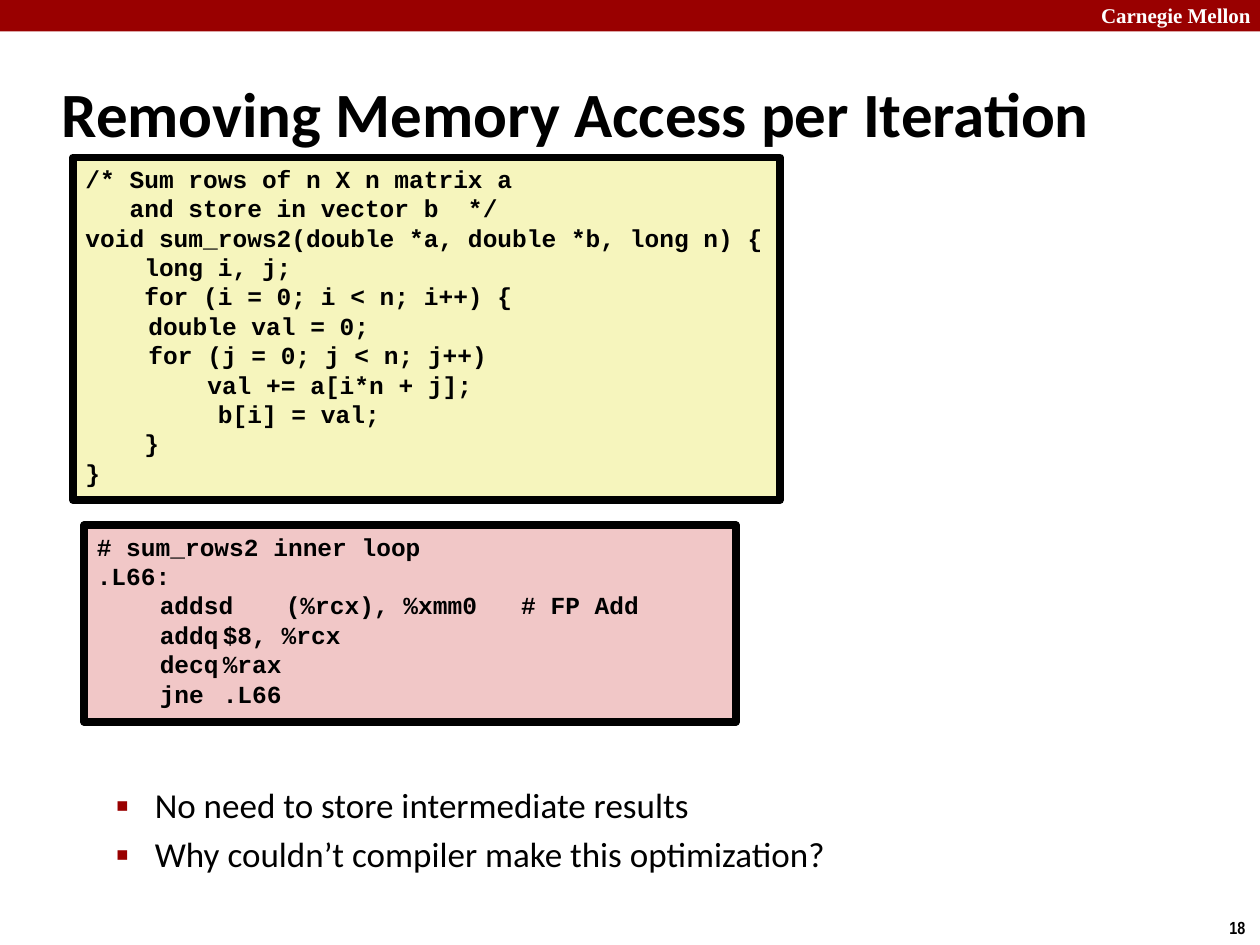
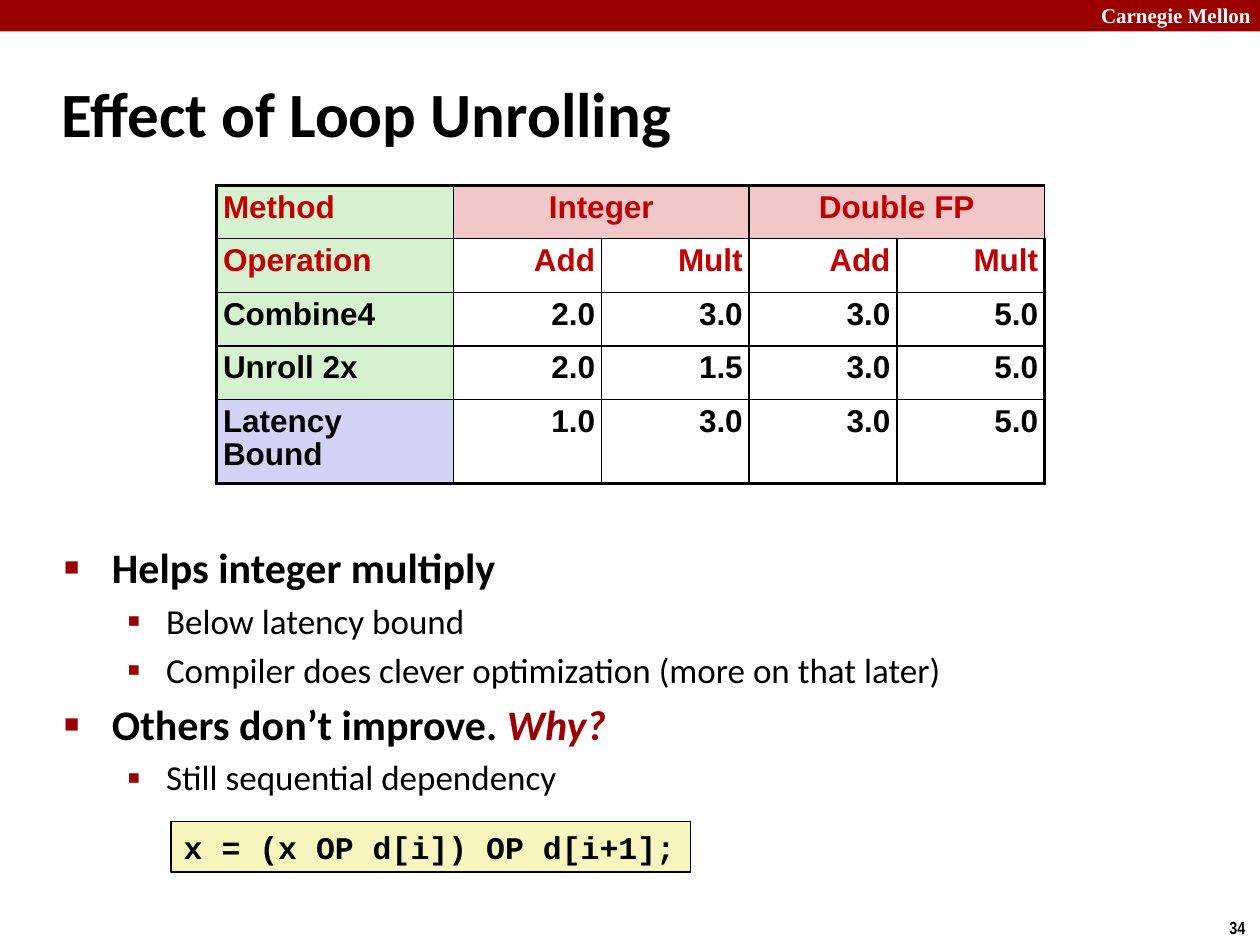
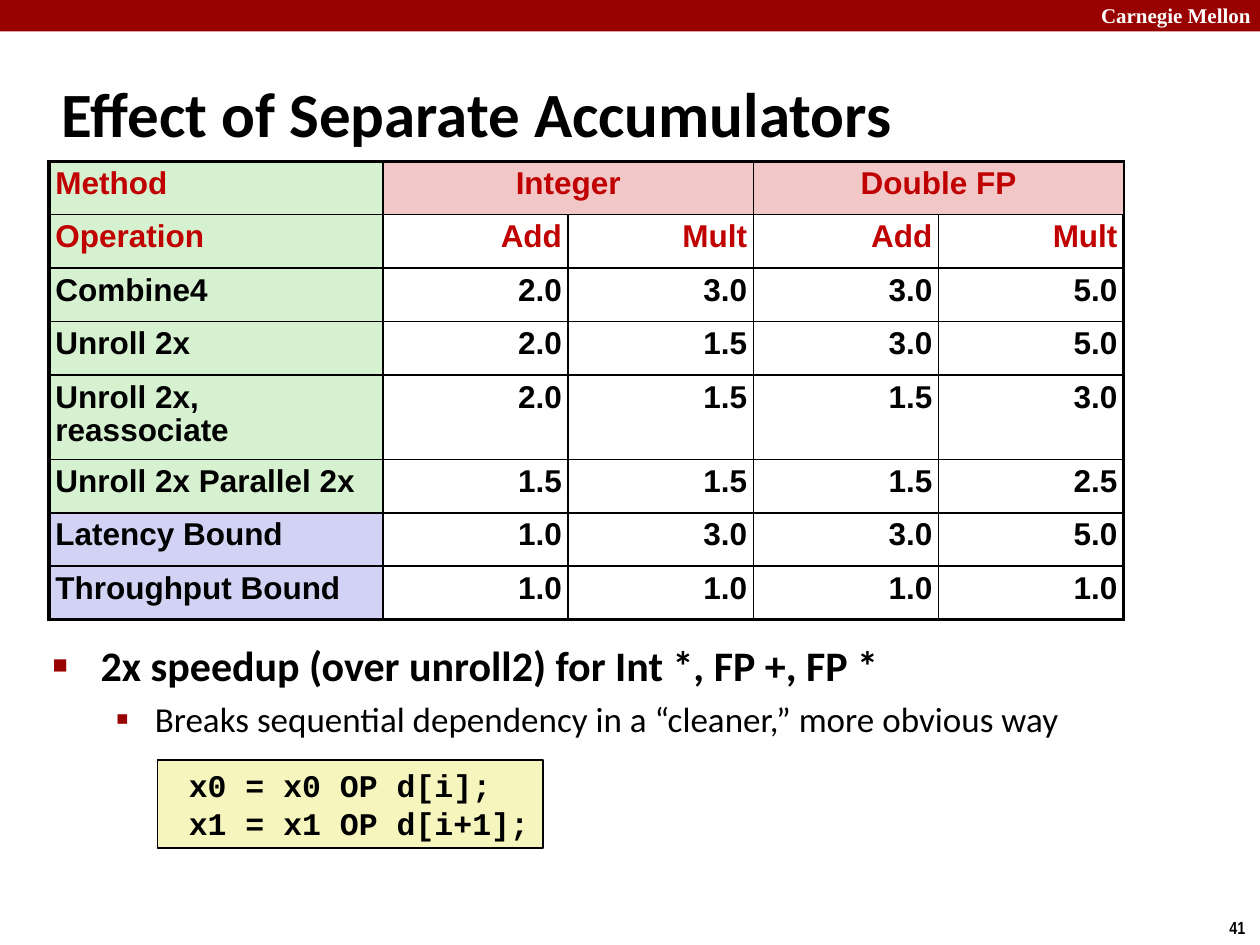
from lxml.etree import SubElement
from pptx import Presentation
from pptx.dml.color import RGBColor
from pptx.enum.shapes import MSO_SHAPE
from pptx.enum.text import MSO_ANCHOR, PP_ALIGN
from pptx.oxml.ns import qn
from pptx.util import Inches, Pt

COLORS = {
    "crimson": "990000", "white": "FFFFFF", "black": "000000", "heading": "C00000",
    "yellow": "F6F5BD", "pink": "F1C7C7", "green": "D5F1CF", "lavender": "D2D2F4",
}
COLORS = {name: RGBColor.from_string(value) for name, value in COLORS.items()}

deck = Presentation()
deck.slide_width, deck.slide_height = Inches(10), Inches(7.5)

# Grid of 100 columns and 75 rows
COLUMN = deck.slide_width / 100
ROW = deck.slide_height / 75

# Bullet levels: character, its size, left indent and hanging in columns, text size, bold
LEVELS = [("■", 60, 3.8, 3.8, 24, True), ("▪", 110, 8.1, 3.1, 20, False)]
TALL_ROW = 6.7


def add_box(page, area, fill=None, line_width=0):
    left, top, width, height = area
    box = page.shapes.add_shape(MSO_SHAPE.RECTANGLE, int(left * COLUMN), int(top * ROW),
                                int(width * COLUMN), int(height * ROW))
    box.shadow.inherit = False
    if fill:
        box.fill.solid()
        box.fill.fore_color.rgb = COLORS[fill]
    else:
        box.fill.background()
    if line_width:
        box.line.color.rgb = COLORS["black"]
        box.line.width = Pt(line_width)
    else:
        box.line.fill.background()
    box.text_frame.vertical_anchor = MSO_ANCHOR.TOP
    box.text_frame.word_wrap = True
    return box


def add_span(para, text, font, size, color="black", bold=True, italic=False):
    span = para.add_run()
    span.text = text
    span.font.name, span.font.size = font, Pt(size)
    span.font.bold, span.font.italic = bold, italic
    span.font.color.rgb = COLORS[color]


# Content of the pages
SUM_ROWS = """/* Sum rows of n X n matrix a
   and store in vector b  */
void sum_rows2(double *a, double *b, long n) {
    long i, j;
    for (i = 0; i < n; i++) {
\tdouble val = 0;
\tfor (j = 0; j < n; j++)
\t    val += a[i*n + j];
         b[i] = val;
    }
}"""
INNER_LOOP = """# sum_rows2 inner loop
.L66:
\taddsd\t(%rcx), %xmm0   # FP Add
\taddq\t$8, %rcx
\tdecq\t%rax
\tjne\t.L66"""

HEADER = [["Method", "Integer", "", "Double FP", ""],
          ["Operation", "Add", "Mult", "Add", "Mult"]]
COMBINE = ["Combine4", "2.0", "3.0", "3.0", "5.0"]
UNROLL = ["Unroll 2x", "2.0", "1.5", "3.0", "5.0"]
LATENCY = ["Latency Bound", "1.0", "3.0", "3.0", "5.0"]

pages = [
    {
        "title": "Removing Memory Access per Iteration", "number": "18",
        "body": (3.2, 61.7, 90.9, 8.8),
        "bullets": [(1, "No need to store intermediate results", ""),
                    (1, "Why couldn’t compiler make this optimization?", "")],
        "code": [(INNER_LOOP, (6.7, 41.7, 51.7, 15.6), "pink", 4.5, 14),
                 (SUM_ROWS, (5.8, 12.5, 56.1, 27.2), "yellow", 4.5, 14)],
    },
    {
        "title": "Effect of Loop Unrolling", "number": "34",
        "body": (4.1, 42.5, 90.9, 29.2),
        "bullets": [(0, "Helps integer multiply", ""),
                    (1, "Below latency bound", ""),
                    (1, "Compiler does clever optimization (more on that later)", ""),
                    (0, "Others don’t improve. ", "Why?"),
                    (1, "Still sequential dependency", "")],
        "code": [("x = (x OP d[i]) OP d[i+1];", (13.6, 65.2, 41.2, 4), "yellow", 1, 18)],
        "table": (17.2, 14.7, 65.7, 23.7), "label_width": 18.8, "tall": "Latency Bound",
        "rows": HEADER + [COMBINE, UNROLL, LATENCY],
    },
    {
        "title": "Effect of Separate Accumulators", "number": "41",
        "body": (3.2, 50.3, 90.9, 20.5),
        "bullets": [(0, "2x speedup (over unroll2) for Int *, FP +, FP *", ""),
                    (1, "Breaks sequential dependency in a “cleaner,” more obvious way", "")],
        "code": [(" x0 = x0 OP d[i];\n x1 = x1 OP d[i+1];", (12.5, 60.3, 30.6, 7),
                  "yellow", 1, 18)],
        "table": (3.9, 12.8, 85.3, 36.4), "label_width": 26.5, "tall": "Unroll 2x, reassociate",
        "rows": HEADER + [COMBINE, UNROLL,
                          ["Unroll 2x, reassociate", "2.0", "1.5", "1.5", "3.0"],
                          ["Unroll 2x Parallel 2x", "1.5", "1.5", "1.5", "2.5"],
                          LATENCY,
                          ["Throughput Bound", "1.0", "1.0", "1.0", "1.0"]],
    },
]

for content in pages:
    page = deck.slides.add_slide(deck.slide_layouts[6])

    # Band, page number and title
    add_box(page, (0, 0, 100, 2.5), "crimson")
    for text, area, font, size, color in [
        ("Carnegie Mellon", (86.4, -0.3, 14.3, 3), "Times New Roman", 12, "white"),
        (content["number"], (96.6, 72.3, 3.4, 2.7), "Arial Narrow", 10, "black"),
        (content["title"], (3.9, 4.8, 90.1, 8.3), "Calibri", 36, "black"),
    ]:
        box = add_box(page, area)
        para = box.text_frame.paragraphs[0]
        para.alignment = PP_ALIGN.LEFT
        add_span(para, text, font, size, color)
    box.text_frame.vertical_anchor = MSO_ANCHOR.MIDDLE

    # Bullets
    frame = add_box(page, content["body"]).text_frame
    for index, (level, text, emphasis) in enumerate(content["bullets"]):
        mark, mark_size, indent, hanging, size, bold = LEVELS[level]
        para = frame.add_paragraph() if index else frame.paragraphs[0]
        para.alignment = PP_ALIGN.LEFT
        para.level = level
        if index:
            para.space_before = Pt(size * 0.2)
        properties = para._p.get_or_add_pPr()
        properties.set("marL", str(int(indent * COLUMN)))
        properties.set("indent", str(int(-hanging * COLUMN)))
        mark_color = SubElement(properties, qn("a:buClr"))
        SubElement(mark_color, qn("a:srgbClr"), val=str(COLORS["crimson"]))
        SubElement(properties, qn("a:buSzPct"), val=str(mark_size * 1000))
        SubElement(properties, qn("a:buFont"), typeface="Arial")
        SubElement(properties, qn("a:buChar"), char=mark)
        add_span(para, text, "Calibri", size, bold=bold)
        if emphasis:
            add_span(para, emphasis, "Calibri", size, "crimson", italic=True)

    # Code boxes
    for code, area, fill, line_width, size in content["code"]:
        frame = add_box(page, area, fill, line_width).text_frame
        frame.word_wrap = False
        for index, line in enumerate(code.split("\n")):
            para = frame.add_paragraph() if index else frame.paragraphs[0]
            para.alignment = PP_ALIGN.LEFT
            add_span(para, line, "Courier New", size)

    # Table of cycles per element
    if "table" not in content:
        continue
    rows = content["rows"]
    left, top, width, height = content["table"]
    last_row, last_column = len(rows) - 1, len(rows[0]) - 1
    table = page.shapes.add_table(len(rows), len(rows[0]), int(left * COLUMN), int(top * ROW),
                                  int(width * COLUMN), int(height * ROW)).table
    table.first_row = table.horz_banding = False
    value_width = (width - content["label_width"]) / last_column
    for index, column in enumerate(table.columns):
        column.width = int((value_width if index else content["label_width"]) * COLUMN)
    for r, values in enumerate(rows):
        tall = values[0] == content["tall"]
        table.rows[r].height = int((TALL_ROW if tall else (height - TALL_ROW) / last_row) * ROW)
        for c, text in enumerate(values):
            cell = table.cell(r, c)
            cell.margin_left = cell.margin_right = int(COLUMN / 2)
            cell.margin_top = cell.margin_bottom = int(ROW / 2)

            # Thick outer edges, thin inner edges
            properties = cell._tc.get_or_add_tcPr()
            for edge, outer in [("L", c == 0), ("R", c == last_column),
                                ("T", r == 0), ("B", r == last_row)]:
                border = SubElement(properties, qn("a:ln" + edge),
                                    w=str(int(Pt(2.25 if outer else 1))))
                border_fill = SubElement(border, qn("a:solidFill"))
                SubElement(border_fill, qn("a:srgbClr"), val=str(COLORS["black"]))

            if c and r:
                cell.fill.background()
            else:
                fill = "pink" if c else "lavender" if text.endswith("Bound") else "green"
                cell.fill.solid()
                cell.fill.fore_color.rgb = COLORS[fill]
            if text:
                para = cell.text_frame.paragraphs[0]
                para.line_spacing = 0.95
                para.alignment = (PP_ALIGN.LEFT if c == 0 else
                                  PP_ALIGN.CENTER if r == 0 else PP_ALIGN.RIGHT)
                add_span(para, text, "Arial", 18, "heading" if r < 2 else "black")
    for c in (1, 3):
        table.cell(0, c).merge(table.cell(0, c + 1))

deck.save("out.pptx")
